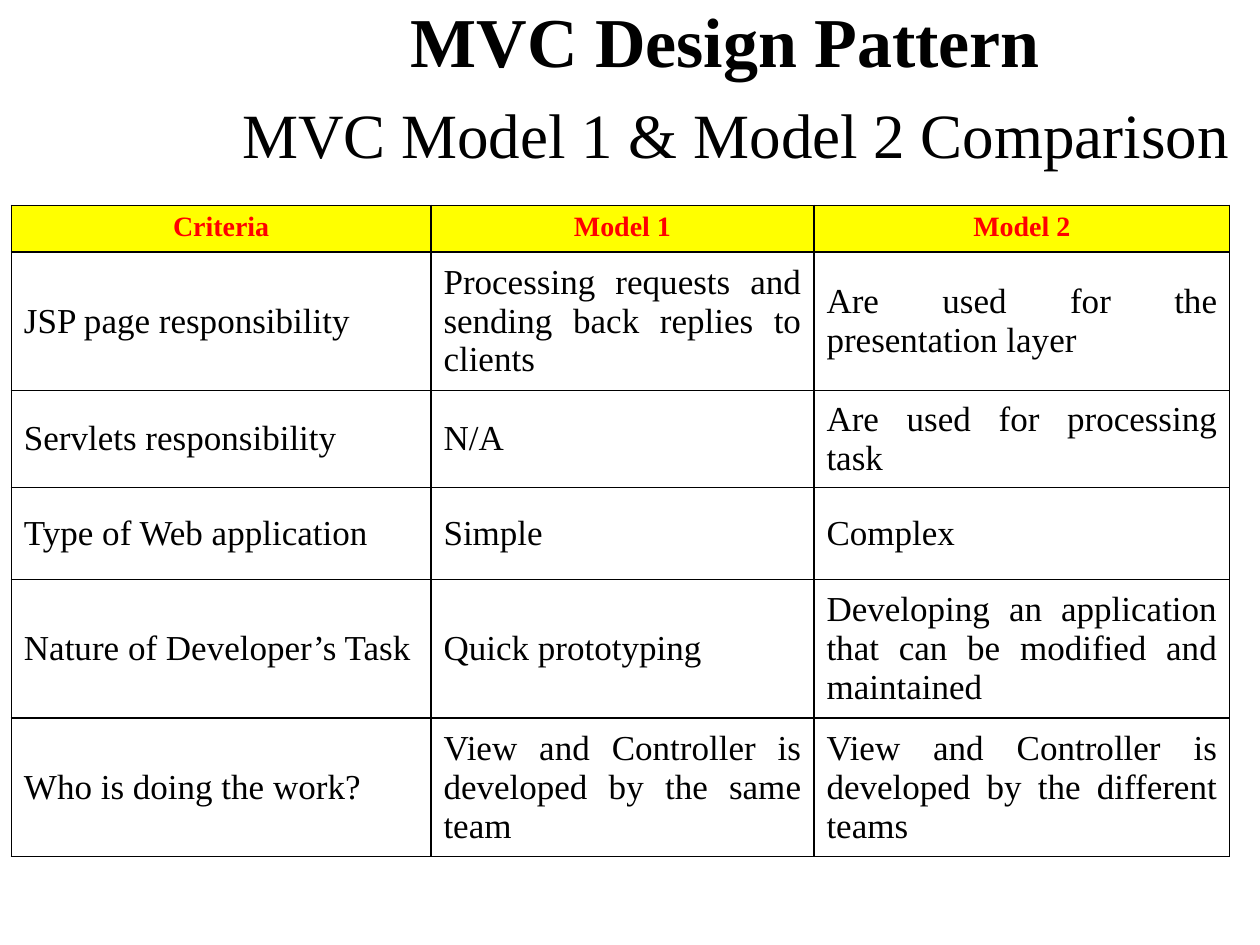
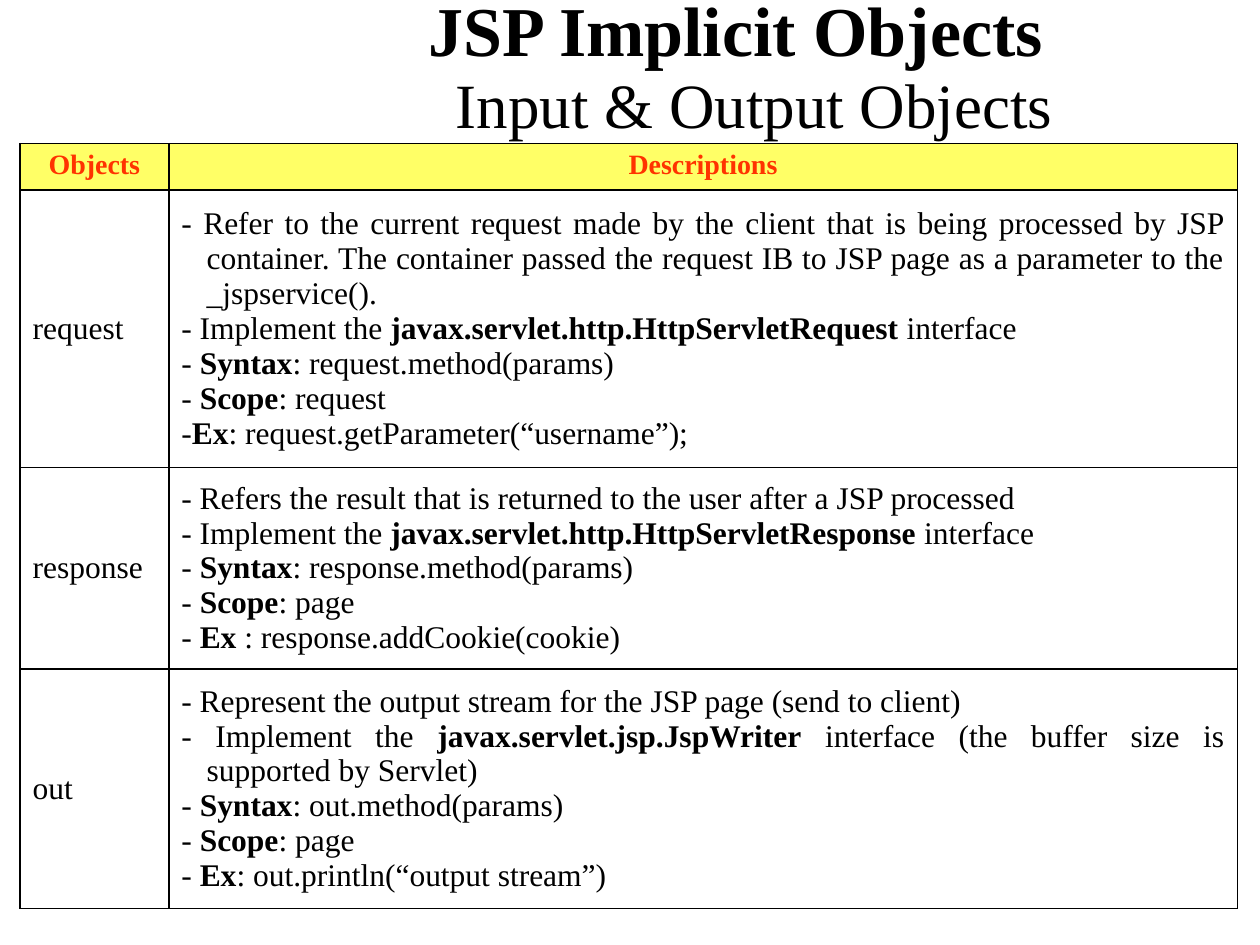
from lxml.etree import SubElement
from pptx import Presentation
from pptx.dml.color import RGBColor
from pptx.enum.text import MSO_ANCHOR as Anchor, MSO_AUTO_SIZE as AutoSize, PP_ALIGN as Align
from pptx.oxml.ns import qn
from pptx.util import Inches, Pt

FONT = "Times New Roman"
BLACK = RGBColor(0x00, 0x00, 0x00)
RED = RGBColor(0xFF, 0x00, 0x00)
ORANGE_RED = RGBColor(0xFF, 0x33, 0x00)
YELLOW = RGBColor(0xFF, 0xFF, 0x00)
PALE_YELLOW = RGBColor(0xFF, 0xFF, 0x66)

MODEL_ROWS = [
    ["Criteria", "Model 1", "Model 2"],
    ["JSP page responsibility",
     "Processing requests and sending back replies to clients",
     "Are used for the presentation layer"],
    ["Servlets responsibility", "N/A", "Are used for processing task"],
    ["Type of Web application", "Simple", "Complex"],
    ["Nature of Developer’s Task", "Quick prototyping",
     "Developing an application that can be modified and maintained"],
    ["Who is doing the work?",
     "View and Controller is developed by the same team",
     "View and Controller is developed by the different teams"],
]

# Text between double asterisks is bold; each line is a paragraph.
OBJECT_ROWS = [
    ["Objects", "Descriptions"],
    ["request",
     "- Refer to the current request made by the client that is being processed by JSP "
     "container. The container passed the request IB to JSP page as a parameter to the "
     "_jspservice().\n"
     "- Implement the **javax.servlet.http.HttpServletRequest** interface\n"
     "- **Syntax**: request.method(params)\n"
     "- **Scope**: request\n"
     "-**Ex**: request.getParameter(“username”);"],
    ["response",
     "- Refers the result that is returned to the user after a JSP processed\n"
     "- Implement the **javax.servlet.http.HttpServletResponse** interface\n"
     "- **Syntax**: response.method(params)\n"
     "- **Scope**: page\n"
     "- **Ex** : response.addCookie(cookie)"],
    ["out",
     "- Represent the output stream for the JSP page (send to client)\n"
     "- Implement the **javax.servlet.jsp.JspWriter** interface "
     "(the buffer size is supported by Servlet)\n"
     "- **Syntax**: out.method(params)\n"
     "- **Scope**: page\n"
     "- **Ex**: out.println(“output stream”)"],
]

PAGES = [
    dict(heading="MVC Design Pattern ", subheading="MVC Model 1 & Model 2 Comparison  ",
         title_left=1.65, title_height=1.36, title_spacing=1.0,
         table_left=0.09, table_top=1.63, widths=[3.33, 3.04, 3.3],
         heights=[0.37, 1.1, 0.77, 0.73, 1.1, 1.1], rows=MODEL_ROWS,
         body_size=20, body_indent=0, header_color=RED, header_fill=YELLOW),
    dict(heading="JSP Implicit Objects ", subheading="Input & Output Objects",
         title_left=1.82, title_height=1.16, title_spacing=0.8,
         table_left=0.16, table_top=1.14, widths=[1.18, 8.48],
         heights=[0.37, 2.2, 1.6, 1.9], rows=OBJECT_ROWS,
         body_size=18, body_indent=0.2, header_color=ORANGE_RED, header_fill=PALE_YELLOW),
]


def add_span(para, text, size, color=BLACK, bold=False):
    span = para.add_run()
    span.text = text
    span.font.name = FONT
    span.font.size = Pt(size)
    span.font.bold = bold
    span.font.color.rgb = color


def add_borders(cell):
    """Draw a 1 pt black line on each side; call before the fill is set."""
    properties = cell._tc.get_or_add_tcPr()
    for side in ("a:lnL", "a:lnR", "a:lnT", "a:lnB"):
        line = SubElement(properties, qn(side), w=str(Pt(1)))
        fill = SubElement(line, qn("a:solidFill"))
        SubElement(fill, qn("a:srgbClr"), val=str(BLACK))


deck = Presentation()
deck.slide_width = Inches(10)
deck.slide_height = Inches(7.5)

for content in PAGES:
    page = deck.slides.add_slide(deck.slide_layouts[5])

    title = page.shapes.title
    title.left, title.top = Inches(content["title_left"]), Inches(0)
    title.width = deck.slide_width - title.left
    title.height = Inches(content["title_height"])
    title.text_frame.auto_size = AutoSize.NONE
    title.text_frame.vertical_anchor = Anchor.MIDDLE
    para = title.text_frame.paragraphs[0]
    para.alignment = Align.CENTER
    para.line_spacing = content["title_spacing"]
    add_span(para, content["heading"], 40, bold=True)
    para.add_line_break()
    add_span(para, " ", 44, bold=True)
    add_span(para, content["subheading"], 36)

    rows, widths, heights = content["rows"], content["widths"], content["heights"]
    frame = page.shapes.add_table(
        len(rows), len(widths), Inches(content["table_left"]), Inches(content["table_top"]),
        Inches(sum(widths)), Inches(sum(heights)))
    table = frame.table
    table.horz_banding = False
    for column, width in zip(table.columns, widths):
        column.width = Inches(width)
    for row, height in zip(table.rows, heights):
        row.height = Inches(height)

    for r, texts in enumerate(rows):
        for c, text in enumerate(texts):
            is_header = r == 0
            cell = table.cell(r, c)
            cell.margin_left = cell.margin_right = Inches(0.1)
            cell.margin_top = cell.margin_bottom = Inches(0.05)
            cell.vertical_anchor = Anchor.TOP if is_header else Anchor.MIDDLE
            add_borders(cell)
            if is_header:
                cell.fill.solid()
                cell.fill.fore_color.rgb = content["header_fill"]
            else:
                cell.fill.background()

            indent = 0.38 if is_header or c == 0 else content["body_indent"]
            for number, line in enumerate(text.split("\n")):
                frame_text = cell.text_frame
                para = frame_text.add_paragraph() if number else frame_text.paragraphs[0]
                layout = para._p.get_or_add_pPr()
                layout.set("marL", str(Inches(indent)))
                layout.set("indent", str(-Inches(indent)))
                if is_header:
                    para.alignment = Align.CENTER
                    add_span(para, line, 16, content["header_color"], bold=True)
                    continue
                para.alignment = Align.LEFT if c == 0 else Align.JUSTIFY
                for part, words in enumerate(line.split("**")):
                    add_span(para, words, content["body_size"], bold=part % 2 == 1)

deck.save("out.pptx")
